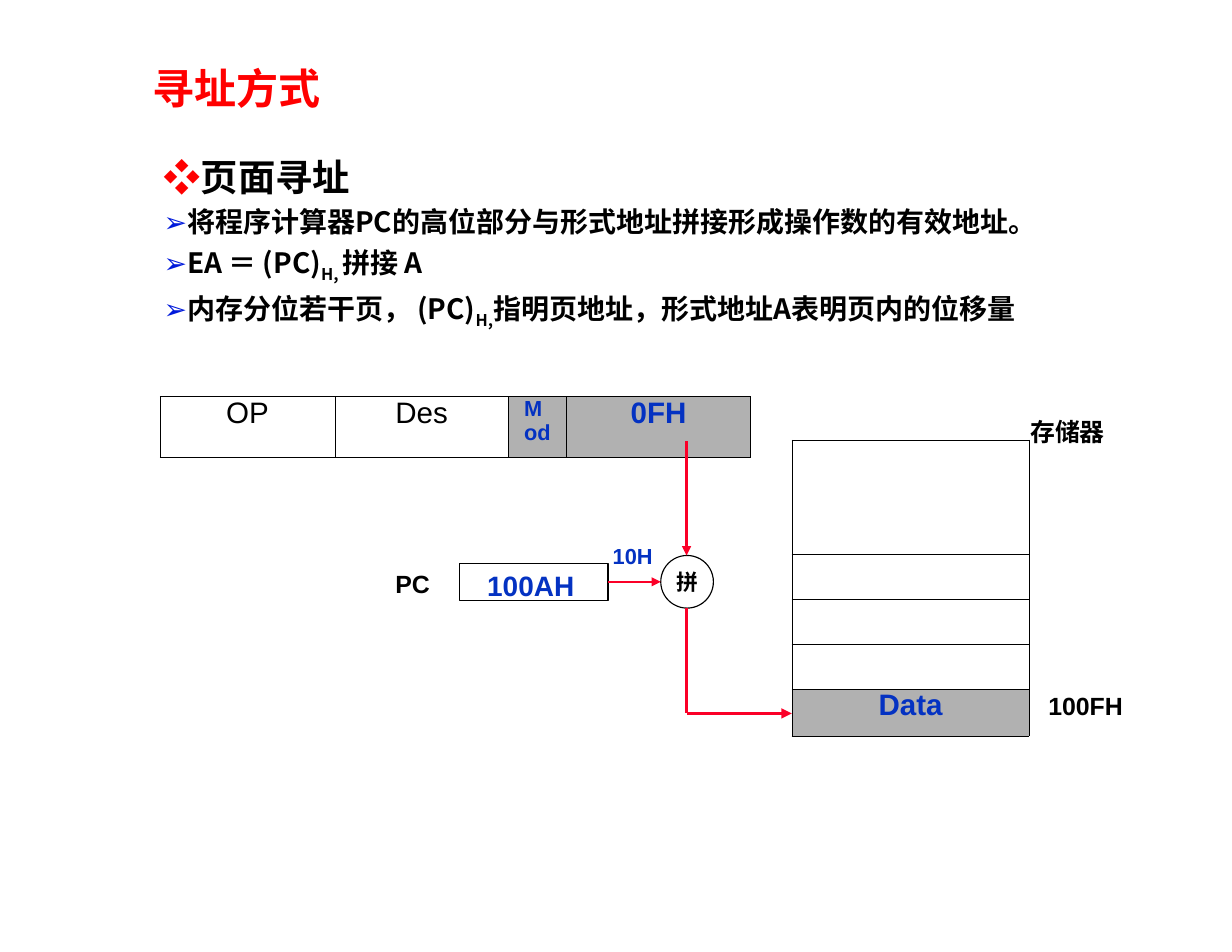
"""Build the page addressing slide, laid out on a grid of tenths of an inch."""
import lxml.etree
import pptx
import pptx.dml.color
import pptx.enum.shapes
import pptx.enum.text
import pptx.oxml.ns
import pptx.util

COLORS = {
    "black": "000000",
    "red": "FF0000",
    "bullet": "001ADB",
    "value": "0432C2",
    "gray": "B1B1B1",
    "arrow": "FB0028",
}
SANS = "Noto Sans CJK SC"
ALIGN = pptx.enum.text.PP_ALIGN
ANCHOR = pptx.enum.text.MSO_ANCHOR
SHAPE = pptx.enum.shapes.MSO_SHAPE

BODY = [
    (24, 0, "❖", "red", [("页面寻址", 0)]),
    (18, 3.3, "➢", "bullet", [("将程序计算器PC的高位部分与形式地址拼接形成操作数的有效地址。", 0)]),
    (18, 5, "➢", "bullet", [("EA ＝ (PC)", 0), ("H, ", -25), ("拼接 A", 0)]),
    (18, 5, "➢", "bullet", [("内存分位若干页， (PC)", 0), ("H,", -25),
                            ("指明页地址，形式地址A表明页内的位移量", 0)]),
]
INSTRUCTION = [
    ("OP", dict(size=19, bold=False)),
    ("Des", dict(size=19, bold=False)),
    ("Mod", dict(size=14, color="value", align=ALIGN.LEFT, before=5.1)),
    ("0FH", dict(size=19, color="value")),
]


def grid(count):
    """Return the length of a number of grid steps."""
    return pptx.util.Inches(count / 10)


def rgb(name):
    """Return the named colour."""
    return pptx.dml.color.RGBColor.from_string(COLORS[name])


def add_element(parent, tag, **attributes):
    """Append a drawing element to a parent."""
    return lxml.etree.SubElement(parent, pptx.oxml.ns.qn(tag), **attributes)


def write(paragraph, text, size=16, color="black", bold=True, font="Arial",
          align=None, before=None, baseline=0):
    """Add formatted text to a paragraph."""
    if align is not None:
        paragraph.alignment = align
    if before:
        paragraph.space_before = pptx.util.Pt(before)
    run = paragraph.add_run()
    run.text = text
    run.font.size = pptx.util.Pt(size)
    run.font.bold = bold
    run.font.color.rgb = rgb(color)
    run.font.name = font
    properties = run.font._element
    add_element(properties, "a:ea", typeface=font)
    if baseline:
        properties.set("baseline", str(baseline * 1000))


def set_frame(frame, wrap, left=0, top=0, right=0, anchor=ANCHOR.TOP):
    """Set wrapping, margins and anchor of a text frame."""
    frame.word_wrap = wrap
    frame.margin_left, frame.margin_top = grid(left), grid(top)
    frame.margin_right, frame.margin_bottom = grid(right), 0
    frame.vertical_anchor = anchor


def add_label(slide, box, text, anchor=ANCHOR.TOP, **text_format):
    """Add a one-line text box."""
    label = slide.shapes.add_textbox(*map(grid, box))
    set_frame(label.text_frame, False, anchor=anchor)
    write(label.text_frame.paragraphs[0], text, **text_format)


def add_body(slide, box):
    """Add the heading and its points."""
    frame = slide.shapes.add_textbox(*map(grid, box)).text_frame
    set_frame(frame, True)
    for index, (size, before, mark, mark_color, pieces) in enumerate(BODY):
        paragraph = frame.add_paragraph() if index else frame.paragraphs[0]
        write(paragraph, mark, size=size, color=mark_color, bold=False,
              font=SANS, before=before)
        for text, baseline in pieces:
            write(paragraph, text, size=size, font=SANS, baseline=baseline)


def add_outline(slide, kind, box):
    """Add an unfilled shape with a thin black line."""
    shape = slide.shapes.add_shape(kind, *map(grid, box))
    shape.shadow.inherit = False
    shape.fill.background()
    shape.line.color.rgb = rgb("black")
    shape.line.width = pptx.util.Pt(0.75)
    return shape


def add_table(slide, left, top, widths, heights):
    """Add a bordered table without style fills."""
    table = slide.shapes.add_table(
        len(heights), len(widths), grid(left), grid(top),
        grid(sum(widths)), grid(sum(heights))).table
    table.first_row = table.horz_banding = False
    for column, width in zip(table.columns, widths):
        column.width = grid(width)
    for row, height in zip(table.rows, heights):
        row.height = grid(height)
    for cell in table.iter_cells():
        cell.margin_left = cell.margin_right = 0
        cell.margin_top = cell.margin_bottom = 0
        properties = cell._tc.get_or_add_tcPr()
        for side in ("a:lnL", "a:lnR", "a:lnT", "a:lnB"):
            line = add_element(properties, side, w=str(pptx.util.Pt(0.34)))
            fill = add_element(line, "a:solidFill")
            add_element(fill, "a:srgbClr", val=COLORS["black"])
        cell.fill.background()
    return table


def write_cell(cell, text, shaded, align=ALIGN.CENTER, before=2.1, **text_format):
    """Write a table cell and shade it if asked."""
    if shaded:
        cell.fill.solid()
        cell.fill.fore_color.rgb = rgb("gray")
    write(cell.text_frame.paragraphs[0], text, align=align, before=before, **text_format)


def add_line(slide, start, end, width, head=True, source=None):
    """Add a red line, with an arrowhead and a source rectangle if asked."""
    line = slide.shapes.add_connector(
        pptx.enum.shapes.MSO_CONNECTOR.STRAIGHT, *map(grid, start + end))
    if source is not None:
        line.begin_connect(source, 3)
    line.line.color.rgb = rgb("arrow")
    line.line.width = pptx.util.Pt(width)
    if head:
        add_element(line.line._get_or_add_ln(), "a:tailEnd", type="triangle")
    add_element(line._element.spPr, "a:effectLst")


def main():
    """Build and save the slide."""
    presentation = pptx.Presentation()
    presentation.slide_width, presentation.slide_height = grid(110), grid(85)
    slide = presentation.slides.add_slide(presentation.slide_layouts[6])

    add_label(slide, (13.6, 5.3, 17.2, 5.1), "寻址方式", ANCHOR.MIDDLE,
              size=27, color="red", font="Noto Sans CJK TC")
    add_body(slide, (14.6, 13.8, 84.2, 17))

    instruction = add_table(slide, 14.3, 35.4, [15.6, 15.5, 5.2, 16.4], [5.4])
    for index, (text, text_format) in enumerate(INSTRUCTION):
        write_cell(instruction.cell(0, index), text, index >= 2, **text_format)
    mode = instruction.cell(0, 2)
    mode.margin_left, mode.margin_right = grid(1.4), grid(1.2)

    memory = add_table(slide, 70.7, 39.3, [21.2], [10.2, 4, 4, 4, 4.2])
    write_cell(memory.cell(4, 0), "Data", True, size=19, color="value")
    add_label(slide, (92, 37.2, 6.8, 3.2), "存储器", font=SANS)
    add_label(slide, (93.6, 61.7, 7.3, 2.7), "100FH")

    counter = add_outline(slide, SHAPE.RECTANGLE, (41, 50.3, 13.3, 3.3))
    set_frame(counter.text_frame, True, left=2.5, top=0.5)
    write(counter.text_frame.paragraphs[0], "100AH", size=18, color="value",
          align=ALIGN.LEFT)
    add_label(slide, (35.3, 50.8, 3.5, 2.7), "PC")
    add_label(slide, (54.7, 48.5, 4.1, 2.3), "10H", size=14, color="value")

    joiner = add_outline(slide, SHAPE.OVAL, (59, 49.6, 4.7, 4.7))
    set_frame(joiner.text_frame, False, anchor=ANCHOR.MIDDLE)
    write(joiner.text_frame.paragraphs[0], "拼", size=14, font=SANS, align=ALIGN.CENTER)

    add_line(slide, (61.3, 39.4), (61.3, 49.6), 1.5)
    add_line(slide, (54.3, 51.95), (59, 51.95), 1.5, source=counter)
    add_line(slide, (61.3, 54.3), (61.3, 63.7), 2.25, head=False)
    add_line(slide, (61.3, 63.7), (70.7, 63.7), 2.25)
    presentation.save("out.pptx")


if __name__ == "__main__":
    main()
